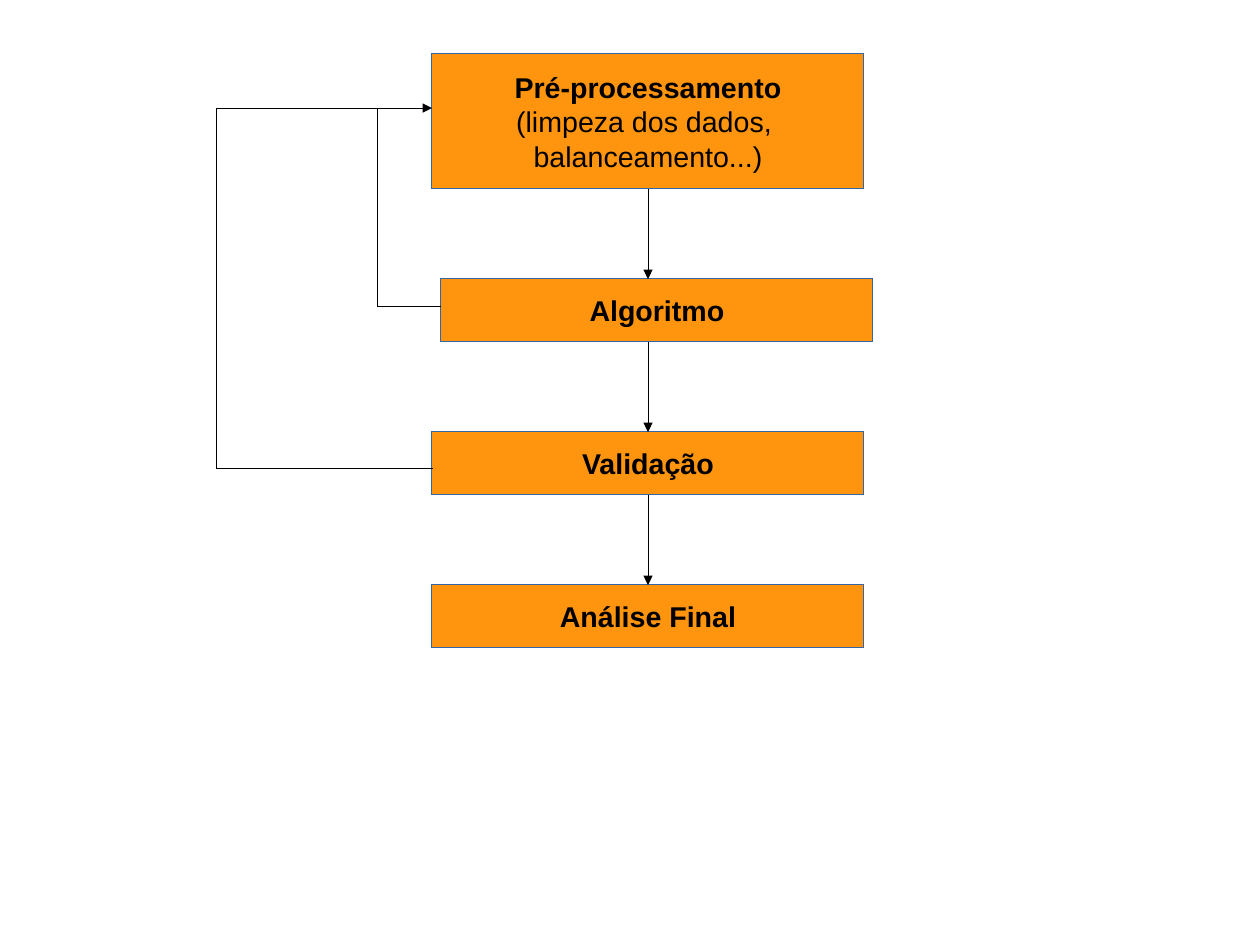
import pptx
import pptx.dml.color
import pptx.enum.shapes
import pptx.enum.text
import pptx.util
import lxml.etree
import pptx.oxml.ns

PX = 8000
BOX_LEFT, BOX_TOP, BOX_WIDTH = 432, 54, 432
GAP = 90
STEPS = [
    (135, 0, [("Pré-processamento", True), ("(limpeza dos dados, ", False), ("balanceamento...)", False)]),
    (63, 9, [("Algoritmo", True)]),
    (63, 0, [("Validação", True)]),
    (63, 0, [("Análise Final", True)]),
]


def px(length):
    """Turn a length in px into EMU."""
    return pptx.util.Emu(length * PX)


def color(value):
    """Turn a hex string into a colour."""
    return pptx.dml.color.RGBColor.from_string(value)


def set_hairline(shape, value):
    """Give a shape or connector a zero-width outline and return its element."""
    shape.line.color.rgb = color(value)
    outline = shape._element.spPr.find(pptx.oxml.ns.qn("a:ln"))
    outline.set("w", "0")
    return outline


def add_line(slide, start, end, arrow=False):
    """Draw a black hairline, with an arrowhead at its end if asked."""
    line = slide.shapes.add_connector(
        pptx.enum.shapes.MSO_CONNECTOR.STRAIGHT, *map(px, (*start, *end)))
    outline = set_hairline(line, "000000")
    if arrow:
        lxml.etree.SubElement(outline, pptx.oxml.ns.qn("a:tailEnd"), type="triangle")
    lxml.etree.SubElement(line._element.spPr, pptx.oxml.ns.qn("a:effectLst"))


def add_step(slide, left, top, width, height, lines):
    """Draw one orange step with its centred lines of text."""
    shape = slide.shapes.add_shape(
        pptx.enum.shapes.MSO_SHAPE.RECTANGLE, *map(px, (left, top, width, height)))
    shape.shadow.inherit = False
    shape.fill.solid()
    shape.fill.fore_color.rgb = color("FF950E")
    set_hairline(shape, "3465A4")
    frame = shape.text_frame
    frame.word_wrap = False
    frame.vertical_anchor = pptx.enum.text.MSO_ANCHOR.MIDDLE
    for index, (text, bold) in enumerate(lines):
        paragraph = frame.add_paragraph() if index else frame.paragraphs[0]
        paragraph.alignment = pptx.enum.text.PP_ALIGN.CENTER
        run = paragraph.add_run()
        run.text = text
        run.font.name = "Arial"
        run.font.size = pptx.util.Pt(18)
        run.font.bold = bold
        run.font.color.rgb = color("000000")


def add_flow(slide, left, top, width):
    """Stack the steps at equal gaps and join them with arrows."""
    center = left + width // 2
    for index, (height, shift, lines) in enumerate(STEPS):
        add_step(slide, left + shift, top, width, height, lines)
        if index:
            add_line(slide, (center, top - GAP), (center, top), arrow=True)
        top += height + GAP


def add_feedback(slide, left, top, right):
    """Draw the return lines from Algoritmo and Validação to the first step."""
    for rail, source, depth in ((left + 162, right + 9, 198), (left, right, 360)):
        add_line(slide, (source, top + depth), (rail, top + depth))
        add_line(slide, (rail, top + depth), (rail, top))
    add_line(slide, (left, top), (right, top), arrow=True)


def main():
    """Build the process slide and save it."""
    presentation = pptx.Presentation()
    presentation.slide_width = px(1260)
    presentation.slide_height = px(945)
    slide = presentation.slides.add_slide(presentation.slide_layouts[6])
    add_flow(slide, BOX_LEFT, BOX_TOP, BOX_WIDTH)
    add_feedback(slide, BOX_LEFT // 2, BOX_TOP * 2, BOX_LEFT)
    presentation.save("out.pptx")


if __name__ == "__main__":
    main()
